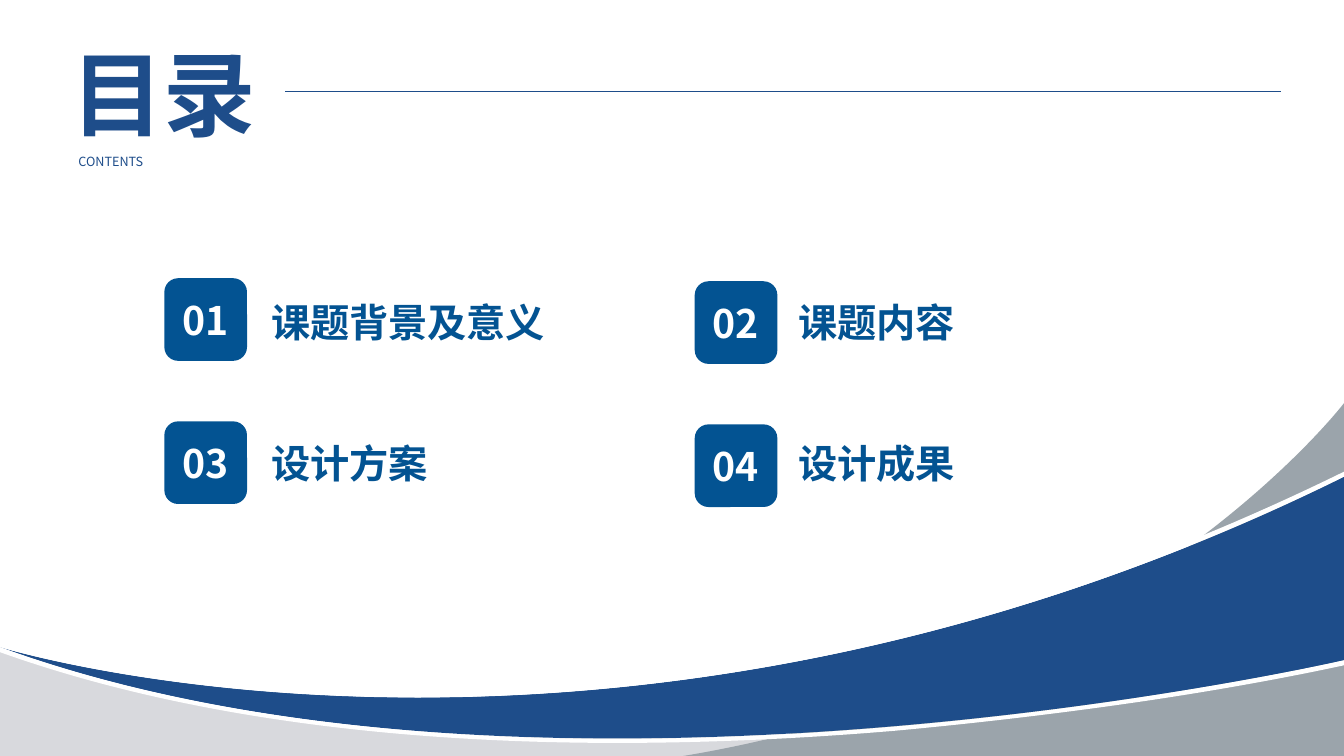
from collections import namedtuple

from lxml import etree
from pptx import Presentation
from pptx.dml.color import RGBColor
from pptx.enum.shapes import MSO_CONNECTOR, MSO_SHAPE
from pptx.enum.text import MSO_ANCHOR, MSO_AUTO_SIZE, PP_ALIGN
from pptx.oxml.ns import qn
from pptx.util import Inches, Pt

ROUNDED, STRAIGHT = MSO_SHAPE.ROUNDED_RECTANGLE, MSO_CONNECTOR.STRAIGHT
TOP, MIDDLE = MSO_ANCHOR.TOP, MSO_ANCHOR.MIDDLE
LEFT, CENTER, JUSTIFY = PP_ALIGN.LEFT, PP_ALIGN.CENTER, PP_ALIGN.JUSTIFY
NO_FIT, GROW = MSO_AUTO_SIZE.NONE, MSO_AUTO_SIZE.SHAPE_TO_FIT_TEXT

Box = namedtuple("Box", "x y w h")
SLIDE = Box(0, 0, 13.33, 7.5)

THEME = {
    "font": "Noto Sans CJK SC",
    "navy": "1E4D8A", "blue": "035392", "grey": "9BA4AB",
    "pale": "D8D9DD", "white": "FFFFFF",
    "title": 66, "item": 28, "caption": 9, "rule": 0.5,
}

# Label and width of its text box
ITEMS = [("课题背景及意义", 2.93), ("课题内容", 3.12), ("设计方案", 3.42), ("设计成果", 4.22)]

# Colour, bounds, start point, then segments: (x, y) is a line, six numbers a Bézier curve.
WAVES = [
    ("pale", Box(0, 6.42, 13.33, 1.11), (13.33, 7.53), [
        (13.33, 6.55), (13.33, 6.55, 5.36, 8.38, 0, 6.42), (0, 7.53)]),
    ("grey", Box(6.59, 4, 6.74, 3.53), (13.33, 4), [
        (13.33, 4, 11.16, 6.84, 6.59, 7.53), (13.33, 7.53)]),
    ("navy", Box(0, 4.73, 13.33, 2.59), (0, 6.42), [
        (0, 6.42, 6.1, 8.31, 13.33, 4.73), (13.33, 6.55),
        (13.33, 6.55, 5.36, 8.38, 0, 6.42)]),
    ("white", Box(0, 6.42, 13.33, 0.95), (6.12, 7.37), [
        (7, 7.37, 7.92, 7.33, 8.87, 7.25), (9.63, 7.18, 10.41, 7.09, 11.18, 6.98),
        (12.37, 6.81, 13.19, 6.63, 13.33, 6.6), (13.33, 6.55),
        (13.33, 6.55, 9.95, 7.33, 6.12, 7.33), (4.06, 7.33, 1.87, 7.1, 0, 6.42),
        (0, 6.47), (1.65, 7.06, 3.71, 7.37, 6.12, 7.37)]),
    ("white", Box(0, 4.68, 13.33, 2.24), (13.33, 4.73), [
        (13.33, 4.68), (13.29, 4.7), (12.45, 5.11, 11.59, 5.47, 10.72, 5.77),
        (9.93, 6.04, 9.12, 6.27, 8.31, 6.44), (6.93, 6.73, 5.54, 6.88, 4.15, 6.88),
        (3.58, 6.88, 3, 6.85, 2.44, 6.8), (2, 6.76, 1.56, 6.7, 1.14, 6.63),
        (0.44, 6.51, 0.03, 6.38, 0.03, 6.38), (0, 6.42),
        (0, 6.42, 1.61, 6.92, 4.15, 6.92), (6.56, 6.92, 9.81, 6.47, 13.33, 4.73)]),
]


def color(name):
    return RGBColor.from_string(THEME[name])


def paint(sp, fill):
    """Give a shape a plain fill with no outline or shadow."""
    sp.shadow.inherit = False
    sp.fill.solid()
    sp.fill.fore_color.rgb = color(fill)
    sp.line.fill.background()


def write(sp, text, size, ink, bold=True, align=LEFT, anchor=TOP, fit=NO_FIT):
    tf = sp.text_frame
    frame = {"word_wrap": True, "vertical_anchor": anchor, "auto_size": fit}
    for key, value in frame.items():
        setattr(tf, key, value)
    p = tf.paragraphs[0]
    p.alignment = align
    r = p.add_run()
    r.text = text
    formats = {"name": THEME["font"], "size": Pt(THEME[size]), "bold": bold}
    for key, value in formats.items():
        setattr(r.font, key, value)
    r.font.color.rgb = color(ink)
    ea = etree.SubElement(r.font._element, qn("a:ea"))
    ea.set("typeface", THEME["font"])


def add_text(shapes, box, *args, **kwargs):
    write(shapes.add_textbox(*map(Inches, box)), *args, **kwargs)


def curve_outline(sp, bounds, start, segments, sx, sy):
    """Redraw a freeform's outline with lines and Bézier curves."""
    outline = next(sp._element.iter(qn("a:path")))
    for child in list(outline):
        outline.remove(child)
    tags = {2: "a:lnTo", 6: "a:cubicBezTo"}
    steps = [("a:moveTo", start)] + [(tags[len(seg)], seg) for seg in segments]
    for tag, numbers in steps:
        step = etree.SubElement(outline, qn(tag))
        for x, y in zip(numbers[::2], numbers[1::2]):
            pt = etree.SubElement(step, qn("a:pt"))
            pt.set("x", str(Inches((x - bounds.x) * sx)))
            pt.set("y", str(Inches((y - bounds.y) * sy)))
    etree.SubElement(outline, qn("a:close"))


def add_waves(s, box):
    shapes = s.shapes.add_group_shape().shapes
    sx, sy = box.w / SLIDE.w, box.h / SLIDE.h
    for fill, bounds, start, segments in WAVES:
        left, top = Inches(box.x + bounds.x * sx), Inches(box.y + bounds.y * sy)
        right, bottom = left + Inches(bounds.w * sx), top + Inches(bounds.h * sy)
        builder = shapes.build_freeform(left, top)
        builder.add_line_segments([(right, top), (right, bottom), (left, bottom)])
        sp = builder.convert_to_shape()
        curve_outline(sp, bounds, start, segments, sx, sy)
        paint(sp, fill)


def add_heading(s, box):
    shapes = s.shapes.add_group_shape().shapes
    add_text(shapes, Box(box.x, box.y, 2.49, 1.21), "目录", "title", "navy", fit=GROW)
    add_text(shapes, Box(box.x + 0.07, box.y + 1.16, 1.99, 0.26), "CONTENTS",
             "caption", "navy", bold=False, align=JUSTIFY, fit=GROW)
    y = Inches(box.y + 0.59)
    rule = s.shapes.add_connector(STRAIGHT, Inches(box.x + 2.22), y,
                                  Inches(box.x + box.w), y)
    rule.line.color.rgb = color("navy")
    rule.line.width = Pt(THEME["rule"])
    etree.SubElement(rule._element.spPr, qn("a:effectLst"))


def add_contents(s, box):
    """Lay numbered items out in two columns and two rows."""
    badge, column_drop = 0.82, 0.03
    label_x, label_y, label_pitch = 0.96, 0.15, Box(0, 0, 5.23, 1.4)
    for i, (item, width) in enumerate(ITEMS):
        row, col = divmod(i, 2)
        add_text(s.shapes, Box(box.x + label_x + col * label_pitch.w,
                               box.y + label_y + row * label_pitch.h,
                               width, 0.65 - row * 0.06), item, "item", "blue")
        sp = s.shapes.add_shape(ROUNDED, *map(Inches, (
            box.x + col * box.w / 2, box.y + row * box.h / 2 + col * column_drop,
            badge, badge)))
        paint(sp, "blue")
        write(sp, f"{i + 1:02}", "item", "white", align=CENTER, anchor=MIDDLE)


def main():
    prs = Presentation()
    prs.slide_width, prs.slide_height = Inches(SLIDE.w), Inches(SLIDE.h)
    s = prs.slides.add_slide(prs.slide_layouts[6])
    add_waves(s, SLIDE)
    add_contents(s, Box(1.63, 2.76, 10.52, 2.84))
    add_heading(s, Box(0.61, 0.32, 12.1, 1.42))
    prs.save("out.pptx")


if __name__ == "__main__":
    main()
